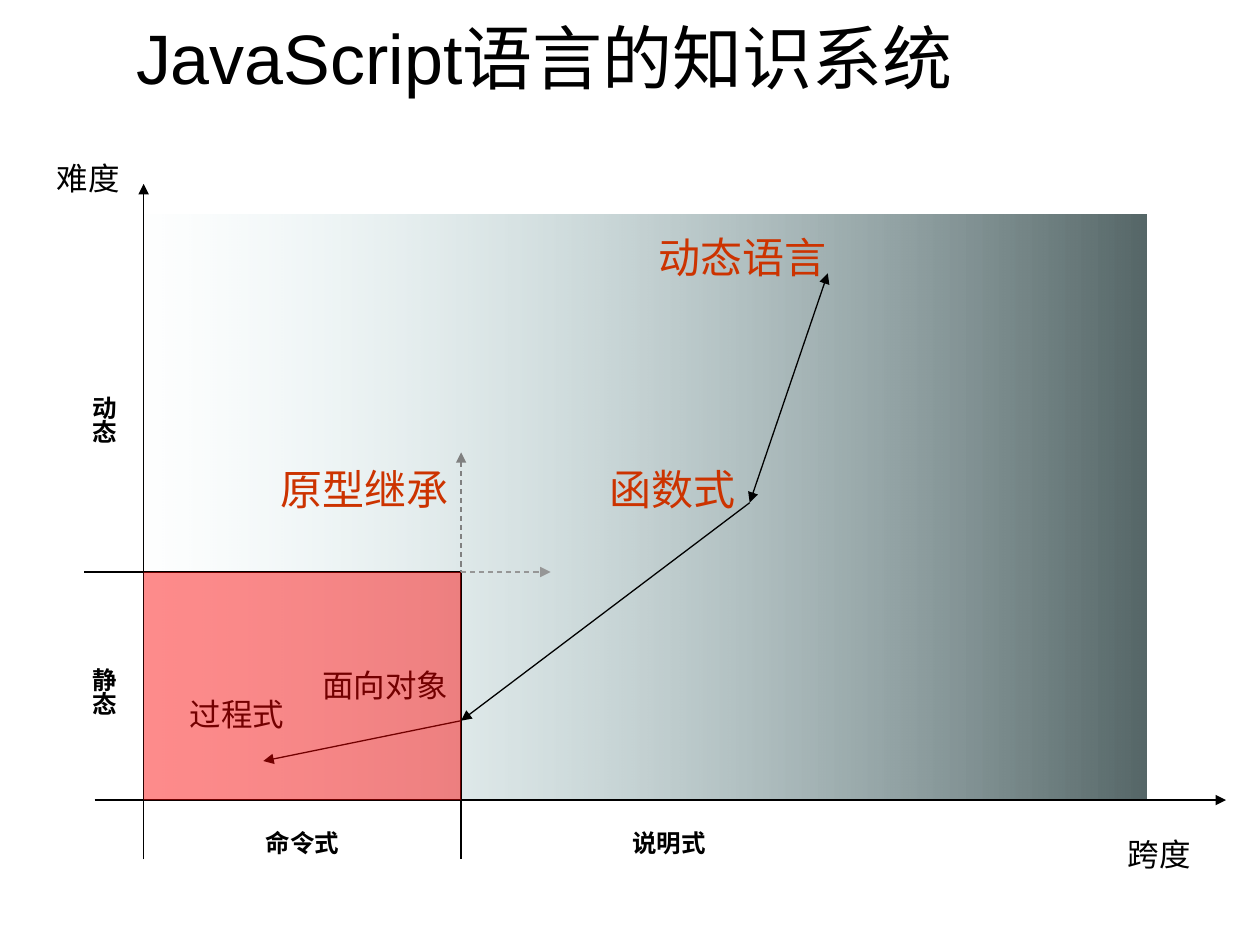
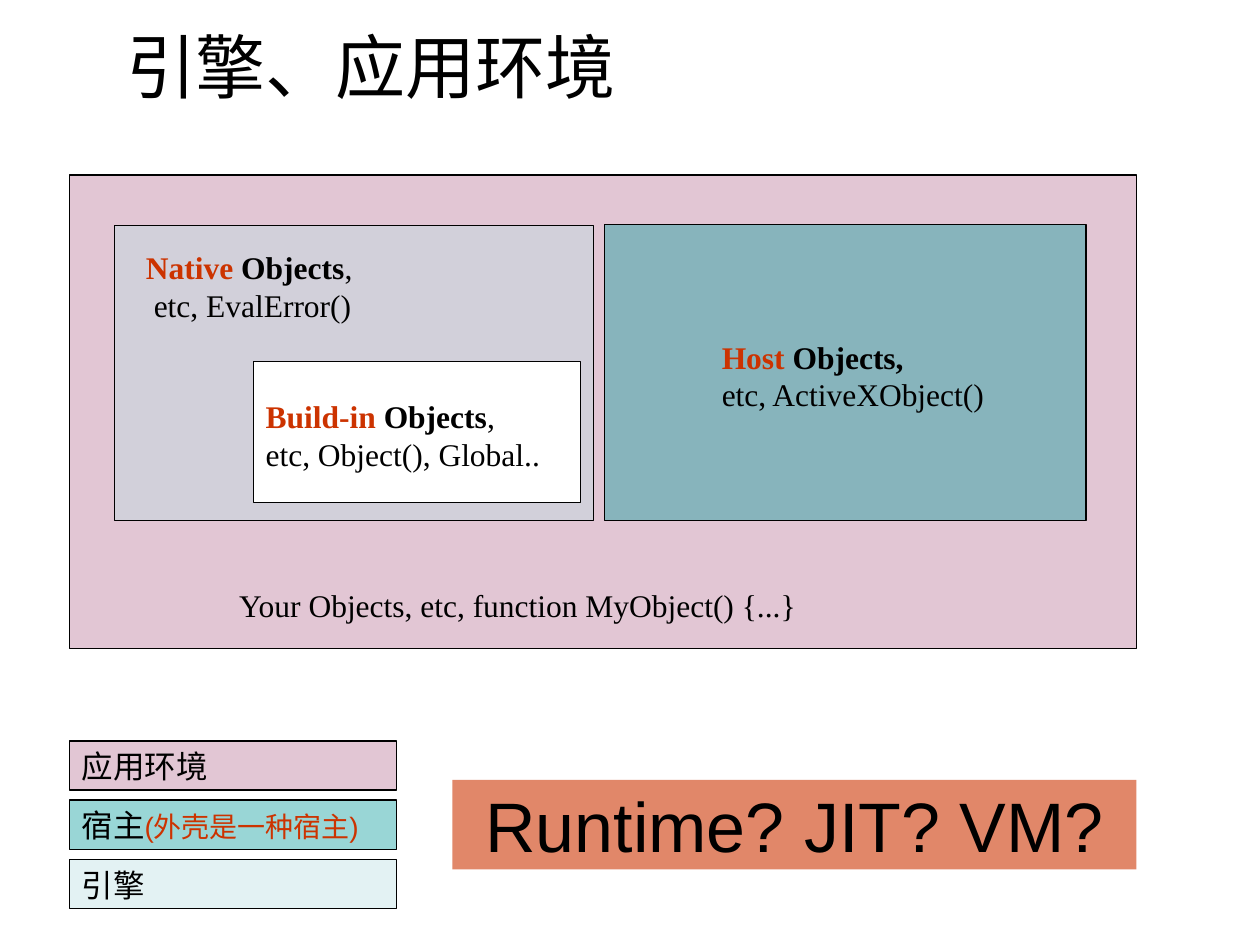
from dataclasses import dataclass
from typing import Optional

from lxml import etree
from pptx import Presentation
from pptx.dml import color as dml
from pptx.enum import dml as line_styles
from pptx.enum import shapes, text
from pptx.oxml import ns
from pptx.util import Inches, Pt

# Shared look
SANS, SERIF = "Arial", "Times New Roman"
BLACK, WHITE, ACCENT = "000000", "FFFFFF", "CC3300"
TITLE_SIZE, BODY_SIZE = 40, 18
CENTER, LEFT, JUSTIFY = text.PP_ALIGN.CENTER, text.PP_ALIGN.LEFT, text.PP_ALIGN.JUSTIFY
MIDDLE, TOP = text.MSO_ANCHOR.MIDDLE, text.MSO_ANCHOR.TOP


@dataclass(frozen=True)
class Box:
    left: float
    top: float
    width: float
    height: float

    def inches(self) -> tuple:
        return tuple(Inches(n) for n in (self.left, self.top, self.width, self.height))


@dataclass(frozen=True)
class Tint:
    colour: str
    opacity: int = 100


@dataclass(frozen=True)
class Run:
    words: str
    size: int = BODY_SIZE
    colour: str = BLACK
    bold: bool = False
    font: str = SANS


@dataclass(frozen=True)
class Label:
    box: Box
    run: Run
    vertical: bool = False


@dataclass(frozen=True)
class Line:
    start: tuple
    end: tuple
    heads: str = ""  # any of "headEnd tailEnd"
    colour: str = BLACK
    dashed: bool = False


APP_ENVIRONMENT = Tint("993366", 28)
HOST = Tint("009999", 40)
ENGINE = Tint("BBE0E3", 40)


# Drawing helpers
def rgb(colour: str) -> dml.RGBColor:
    return dml.RGBColor.from_string(colour)


def set_opacity(colour_element, percent: int) -> None:
    etree.SubElement(colour_element, ns.qn("a:alpha"), val=str(percent * 1000))


def write(frame, paragraphs: list, align=LEFT, anchor=TOP, wrap: bool = True) -> None:
    frame.word_wrap = wrap
    frame.auto_size = text.MSO_AUTO_SIZE.NONE
    frame.vertical_anchor = anchor
    for number, runs in enumerate(paragraphs):
        paragraph = frame.add_paragraph() if number else frame.paragraphs[0]
        paragraph.alignment = align
        for run in runs:
            for row, words in enumerate(run.words.split("\n")):
                if row:
                    paragraph.add_line_break()
                piece = paragraph.add_run()
                piece.text = words
                piece.font.name = run.font
                piece.font.size = Pt(run.size)
                piece.font.bold = run.bold
                piece.font.color.rgb = rgb(run.colour)


def add_titled_slide(deck, words: str, box: Box):
    slide = deck.slides.add_slide(deck.slide_layouts[5])
    title = slide.shapes.title
    title.left, title.top, title.width, title.height = box.inches()
    write(title.text_frame, [[Run(words, TITLE_SIZE)]], anchor=MIDDLE)
    return slide


def add_rectangle(slide, box: Box, tint: Tint, outlined: bool = True):
    rectangle = slide.shapes.add_shape(shapes.MSO_SHAPE.RECTANGLE, *box.inches())
    rectangle.shadow.inherit = False
    rectangle.fill.solid()
    rectangle.fill.fore_color.rgb = rgb(tint.colour)
    if tint.opacity < 100:
        set_opacity(rectangle.element.spPr.find(".//" + ns.qn("a:srgbClr")), tint.opacity)
    if outlined:
        rectangle.line.color.rgb = rgb(BLACK)
        rectangle.line.width = Pt(0.75)
    else:
        rectangle.line.fill.background()
    return rectangle


def add_text(slide, box: Box, paragraphs: list, **layout):
    textbox = slide.shapes.add_textbox(*box.inches())
    write(textbox.text_frame, paragraphs, **layout)
    return textbox


def add_label(slide, label: Label) -> None:
    textbox = add_text(slide, label.box, [[label.run]], align=CENTER, anchor=MIDDLE, wrap=False)
    if label.vertical:
        frame = textbox.text_frame
        frame.margin_left = frame.margin_right = Inches(0.05)
        frame.margin_top = frame.margin_bottom = Inches(0.1)
        textbox.element.txBody.bodyPr.set("vert", "eaVert")


def add_line(slide, line: Line) -> None:
    ends = [Inches(n) for n in line.start + line.end]
    connector = slide.shapes.add_connector(shapes.MSO_CONNECTOR.STRAIGHT, *ends)
    connector.line.color.rgb = rgb(line.colour)
    connector.line.width = Pt(0.75)
    if line.dashed:
        connector.line.dash_style = line_styles.MSO_LINE.DASH
    properties = connector.element.spPr
    for head in line.heads.split():
        etree.SubElement(properties.find(ns.qn("a:ln")), ns.qn("a:" + head), type="triangle")
    etree.SubElement(properties, ns.qn("a:effectLst"))


# Slide 1: map of difficulty against span
def build_knowledge_map(deck) -> None:
    slide = add_titled_slide(deck, "JavaScript语言的知识系统", Box(0.98, 0.06, 8.82, 0.77))
    axis_x, axis_y = 1.14, 6.35
    split_x, split_y = 3.66, 4.54
    axis_foot = 6.82

    # Shaded field
    field = add_rectangle(slide, Box(axis_x, 1.7, 7.96, axis_y - 1.7), Tint(WHITE), outlined=False)
    field.fill.gradient()
    field.fill.gradient_angle = 180
    for stop, colour in zip(field.fill.gradient_stops, ("566768", "BBE0E3")):
        stop.color.rgb = rgb(colour)
    set_opacity(field.element.spPr.findall(".//" + ns.qn("a:srgbClr"))[-1], 1)

    # Axes, dividers and the path between paradigms
    objects, functional = (split_x, 5.72), (5.95, 3.99)
    for line in (
        Line((0.75, axis_y), (9.73, axis_y), "tailEnd"),
        Line((axis_x, axis_foot), (axis_x, 1.46), "tailEnd"),
        Line((split_x, split_y), (split_x, axis_foot)),
        Line((0.67, split_y), (split_x, split_y)),
        Line((2.09, 6.04), objects, "headEnd"),
        Line(objects, functional, "headEnd"),
        Line(functional, (6.57, 2.17), "headEnd tailEnd"),
    ):
        add_line(slide, line)

    # Names of axes, ranges and paradigms
    for label in (
        Label(Box(8.7, 6.51, 1, 0.53), Run("跨度")),
        Label(Box(0.2, 1.15, 1, 0.53), Run("难度")),
        Label(Box(1.38, 5.4, 1, 0.53), Run("过程式")),
        Label(Box(2.56, 5.17, 1, 0.53), Run("面向对象")),
        Label(Box(2.13, 3.63, 1.53, 0.5), Run("原型继承", 24, ACCENT)),
        Label(Box(4.74, 3.63, 1.2, 0.5), Run("函数式", 24, ACCENT)),
        Label(Box(5.13, 1.79, 1.53, 0.5), Run("动态语言", 24, ACCENT)),
        Label(Box(2.01, 6.52, 0.78, 0.34), Run("命令式", 14, bold=True)),
        Label(Box(4.92, 6.52, 0.78, 0.34), Run("说明式", 14, bold=True)),
        Label(Box(0.61, 3.04, 0.43, 0.49), Run("动态", 14, bold=True), vertical=True),
        Label(Box(0.61, 5.2, 0.43, 0.49), Run("静态", 14, bold=True), vertical=True),
    ):
        add_label(slide, label)

    # Static, imperative zone and the ways out of it
    zone = Box(axis_x, split_y, split_x - axis_x, axis_y - split_y)
    add_rectangle(slide, zone, Tint("FF0000", 45), outlined=False)
    add_line(slide, Line((split_x, 3.59), (split_x, split_y), "headEnd", "808080", True))
    add_line(slide, Line((split_x, split_y), (4.37, split_y), "tailEnd", "969696", True))


# Slide 2: nested object environments
def build_environments(deck) -> None:
    slide = add_titled_slide(deck, "引擎、应用环境", Box(0.9, 0.32, 8.11, 0.4))

    for box, tint in (
        (Box(0.55, 1.39, 8.47, 3.76), APP_ENVIRONMENT),
        (Box(4.8, 1.78, 3.82, 2.35), HOST),
        (Box(0.91, 1.79, 3.8, 2.34), ENGINE),
        (Box(2.01, 2.87, 2.6, 1.12), Tint(WHITE)),
    ):
        add_rectangle(slide, box, tint)

    # Object kinds
    def kind(words: str) -> Run:
        return Run(words, colour=ACCENT, bold=True, font=SERIF)

    def plain(words: str, bold: bool = False) -> Run:
        return Run(words, bold=bold, font=SERIF)

    objects = plain(" Objects", bold=True)
    add_text(slide, Box(1.8, 4.6, 4.86, 0.4),
             [[plain("Your Objects, etc, function MyObject() {...}")]], align=JUSTIFY)
    add_text(slide, Box(1.06, 1.92, 3.39, 0.71),
             [[kind("Native"), objects, plain(",\n etc, EvalError()")]])
    add_text(slide, Box(2.01, 3.1, 2.6, 0.76),
             [[kind("Build-in"), objects, plain(",\netc, Object(), Global..")]])
    add_text(slide, Box(5.63, 2.63, 2.52, 0.7),
             [[kind("Host"), plain(" Objects,", bold=True)], [plain("etc, ActiveXObject()")]],
             align=JUSTIFY)

    # Legend
    legend = (
        (APP_ENVIRONMENT, [Run("应用环境")]),
        (HOST, [Run("宿主"), Run("(外壳是一种宿主)", 16, ACCENT)]),
        (ENGINE, [Run("引擎")]),
    )
    for row, (tint, runs) in enumerate(legend):
        entry = add_rectangle(slide, Box(0.55, 5.88 + 0.47 * row, 2.6, 0.39), tint)
        write(entry.text_frame, [runs])

    # Closing question
    question = add_rectangle(slide, Box(3.59, 6.19, 5.43, 0.71), Tint(ACCENT, 59), outlined=False)
    write(question.text_frame, [[Run("Runtime? JIT? VM?", TITLE_SIZE)]], CENTER, MIDDLE)


def main() -> None:
    deck = Presentation()
    deck.slide_width, deck.slide_height = Inches(10), Inches(7.5)
    build_knowledge_map(deck)
    build_environments(deck)
    deck.save("out.pptx")


if __name__ == "__main__":
    main()
